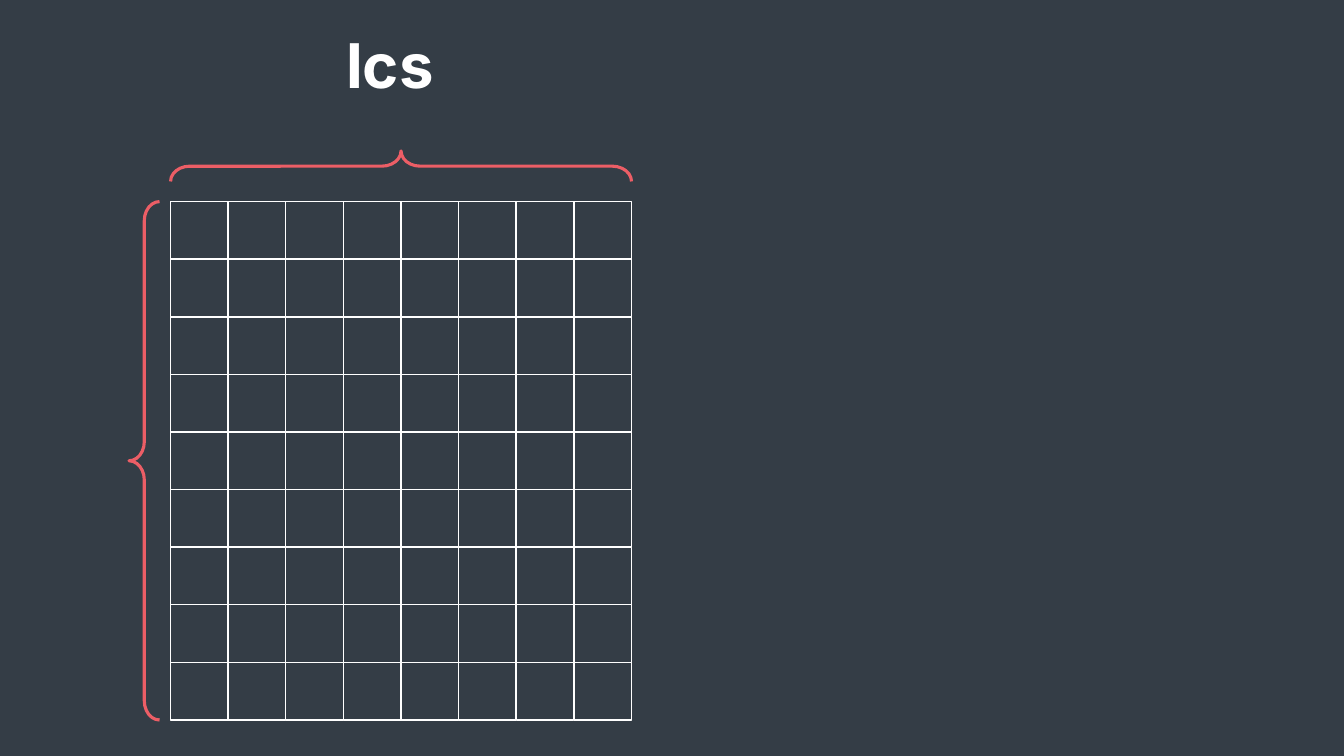
from dataclasses import dataclass
from itertools import product

from pptx import Presentation
from pptx.dml.color import RGBColor
from pptx.enum.shapes import MSO_SHAPE as Preset
from pptx.enum.text import MSO_ANCHOR as Anchor, MSO_AUTO_SIZE as AutoSize, PP_ALIGN as Align
from pptx.shapes.autoshape import Shape
from pptx.slide import Slide
from pptx.util import Inches, Length, Pt


@dataclass(frozen=True)
class Theme:
    background: RGBColor = RGBColor(0x34, 0x3D, 0x46)
    foreground: RGBColor = RGBColor(0xFF, 0xFF, 0xFF)
    accent: RGBColor = RGBColor(0xEC, 0x5E, 0x66)
    font: str = "Inter"
    title_size: Length = Pt(44)
    cell_line: Length = Pt(1)
    brace_line: Length = Pt(2.25)


@dataclass(frozen=True)
class Area:
    """A rectangle measured in columns and rows of the slide's grid."""
    column: float
    row: float
    columns: float
    rows: float


@dataclass(frozen=True)
class Brace:
    area: Area
    rotation: int = 0


THEME = Theme()
UNIT = 4 / 7  # inches per grid column and row
TABLE = Area(2.96, 3.5, 8, 9)
TITLE = Area(4.46, 0.38, 4.62, 1.47)
BRACE_DEPTH = 0.53
BRACES = (
    Brace(Area(2.24, TABLE.row, BRACE_DEPTH, TABLE.rows)),
    Brace(Area(TABLE.column, 2.62, TABLE.columns, BRACE_DEPTH), rotation=90),
)


def grid(count: float) -> Length:
    return Inches(count * UNIT)


def place(shape: Shape, area: Area) -> None:
    shape.left, shape.top = grid(area.column), grid(area.row)
    shape.width, shape.height = grid(area.columns), grid(area.rows)


def add_outlined(slide: Slide, preset: Preset, area: Area, color: RGBColor, width: Length) -> Shape:
    shape = slide.shapes.add_shape(preset, 0, 0, 0, 0)
    place(shape, area)
    shape.shadow.inherit = False
    shape.line.color.rgb = color
    shape.line.width = width
    return shape


def add_brace(slide: Slide, brace: Brace) -> None:
    """Draw a left brace that fills its area once it has been turned."""
    area = brace.area
    if brace.rotation:
        shift = (area.columns - area.rows) / 2
        area = Area(area.column + shift, area.row - shift, area.rows, area.columns)
    shape = add_outlined(slide, Preset.LEFT_BRACE, area, THEME.accent, THEME.brace_line)
    shape.fill.background()
    shape.adjustments[0] = 0.625
    shape.rotation = brace.rotation


def add_cells(slide: Slide) -> None:
    for column, row in product(range(TABLE.columns), range(TABLE.rows)):
        area = Area(TABLE.column + column, TABLE.row + row, 1, 1)
        cell = add_outlined(slide, Preset.RECTANGLE, area, THEME.foreground, THEME.cell_line)
        cell.fill.solid()
        cell.fill.fore_color.rgb = THEME.background


def set_title(slide: Slide, text: str) -> None:
    title = slide.shapes.title
    place(title, TITLE)
    frame = title.text_frame
    frame.word_wrap = True
    frame.auto_size = AutoSize.SHAPE_TO_FIT_TEXT
    frame.vertical_anchor = Anchor.MIDDLE
    paragraph = frame.paragraphs[0]
    paragraph.alignment = Align.CENTER
    run = paragraph.add_run()
    run.text = text
    run.font.name = THEME.font
    run.font.size = THEME.title_size
    run.font.bold = True
    run.font.color.rgb = THEME.foreground


def main() -> None:
    presentation = Presentation()
    presentation.slide_width = Inches(13.33)
    presentation.slide_height = Inches(7.5)
    slide = presentation.slides.add_slide(presentation.slide_layouts.get_by_name("Title Only"))
    slide.background.fill.solid()
    slide.background.fill.fore_color.rgb = THEME.background
    for brace in BRACES:
        add_brace(slide, brace)
    add_cells(slide)
    set_title(slide, "lcs")
    presentation.save("out.pptx")


if __name__ == "__main__":
    main()
